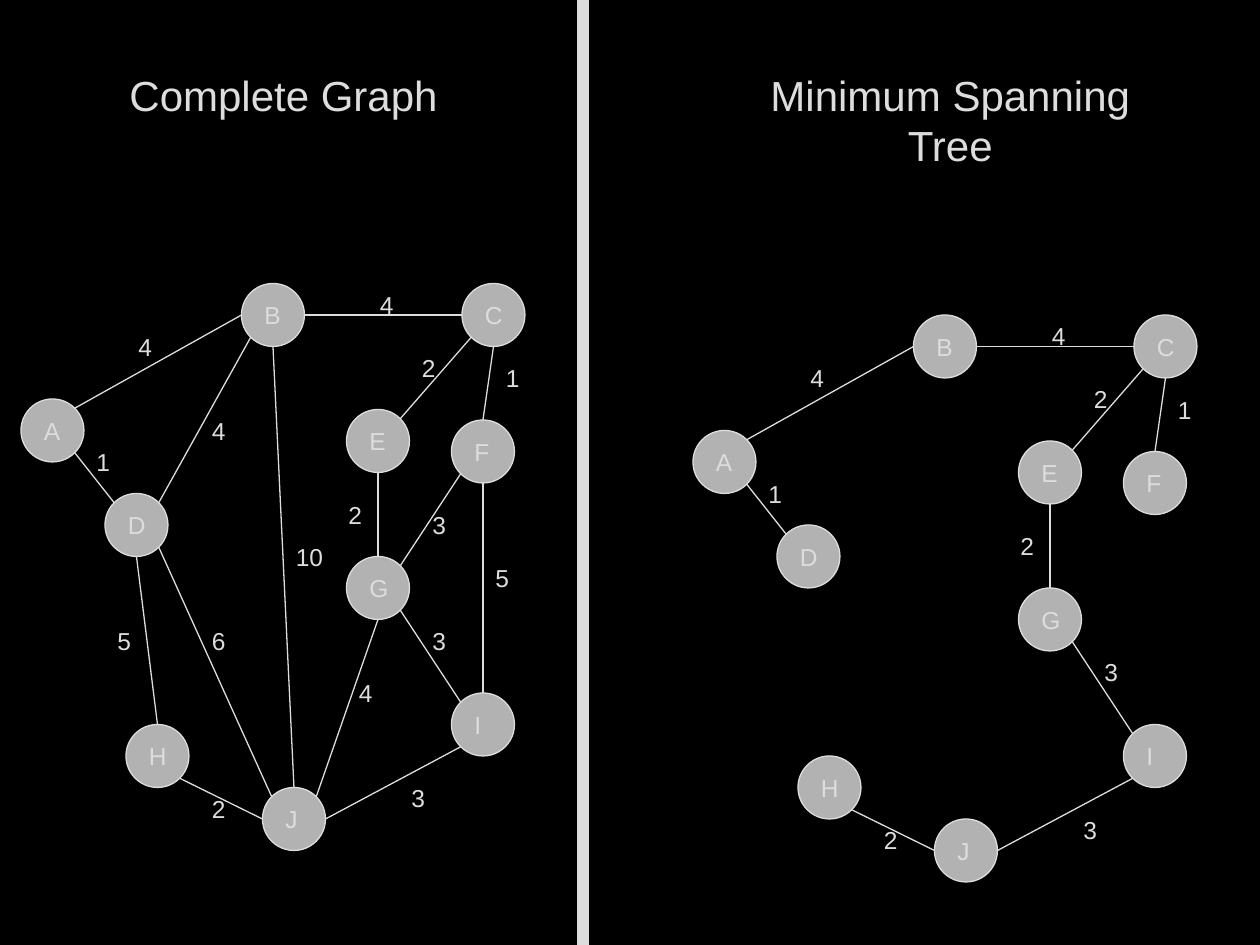
from dataclasses import dataclass
from math import sqrt

from pptx import Presentation
from pptx.dml.color import RGBColor
from pptx.enum.shapes import MSO_CONNECTOR as CXN, MSO_SHAPE as SHAPE
from pptx.enum.text import MSO_ANCHOR as ANCHOR, MSO_AUTO_SIZE as FIT, PP_ALIGN as ALIGN
from pptx.oxml.ns import qn
from pptx.util import Inches, Pt


@dataclass(frozen=True)
class Theme:
    back: RGBColor = RGBColor(0x00, 0x00, 0x00)
    ink: RGBColor = RGBColor(0xDD, 0xDD, 0xDD)
    node: RGBColor = RGBColor(0xB2, 0xB2, 0xB2)
    font: str = "Arial"
    title: int = 24
    label: int = 14
    line: float = 0.75


THEME = Theme()
COLS, ROWS = 120, 90
NODE = 6
TREE_SHIFT = (64, 3)

NODES = {
    "A": (2, 38), "B": (23, 27), "C": (44, 27), "D": (10, 47), "E": (33, 39),
    "F": (43, 40), "G": (33, 53), "H": (12, 69), "I": (43, 66), "J": (25, 75),
}

DIAG = sqrt(0.5)
SIDES = {
    "n": (0, -1), "ne": (DIAG, -DIAG), "e": (1, 0), "se": (DIAG, DIAG),
    "s": (0, 1), "sw": (-DIAG, DIAG), "w": (-1, 0), "nw": (-DIAG, -DIAG),
}

TREE_EDGES = [
    ("A", "ne", "B", "w", "4", (12, 31)),
    ("B", "e", "C", "w", "4", (35, 27)),
    ("A", "se", "D", "nw", "1", (8, 42)),
    ("C", "sw", "E", "ne", "2", (39, 33)),
    ("C", "s", "F", "n", "1", (47, 34)),
    ("E", "s", "G", "n", "2", (32, 47)),
    ("G", "se", "I", "nw", "3", (40, 59)),
    ("H", "se", "J", "w", "2", (19, 75)),
    ("I", "sw", "J", "e", "3", (38, 74)),
]
OTHER_EDGES = [
    ("B", "sw", "D", "ne", "4", (19, 39)),
    ("B", "s", "J", "n", "10", (27, 51)),
    ("F", "sw", "G", "ne", "3", (40, 48)),
    ("F", "s", "I", "n", "5", (46, 53)),
    ("G", "s", "J", "ne", "4", (33, 64)),
    ("D", "s", "H", "n", "5", (10, 59)),
    ("D", "se", "J", "nw", "6", (19, 59)),
]


def grid(*units):
    return [Inches(u / 12) for u in units]


def style_text(tf, size):
    p = tf.paragraphs[0]
    p.space_before = Pt(0)
    f = p.runs[0].font
    f.name, f.size = THEME.font, Pt(size)
    f.color.rgb = THEME.ink


def set_title(sp, text, box):
    sp.left, sp.top, sp.width, sp.height = grid(*box)
    tf = sp.text_frame
    tf.text = text
    tf.auto_size = FIT.NONE
    tf.vertical_anchor = ANCHOR.TOP
    tf.paragraphs[0].alignment = ALIGN.CENTER
    style_text(tf, THEME.title)


def add_filled(s, kind, box, fill):
    sp = s.shapes.add_shape(kind, *grid(*box))
    sp.shadow.inherit = False
    sp.fill.solid()
    sp.fill.fore_color.rgb = fill
    sp.line.color.rgb = THEME.ink
    sp.line.width = Pt(THEME.line)


def add_label(s, text, x, y):
    width = 3.7 if len(text) == 1 else 5
    tf = s.shapes.add_textbox(*grid(x, y, width, 4)).text_frame
    tf.text = text
    tf.word_wrap = False
    tf.auto_size = FIT.SHAPE_TO_FIT_TEXT
    style_text(tf, THEME.label)


def add_line(s, start, end):
    c = s.shapes.add_connector(CXN.STRAIGHT, *grid(*start, *end))
    c.line.color.rgb = THEME.ink
    c.line.width = Pt(THEME.line)
    sp_pr = c._element.spPr
    sp_pr.append(sp_pr.makeelement(qn("a:effectLst"), {}))


def add_graph(s, edges, shift=(0, 0)):
    dx, dy = shift
    r = NODE / 2

    def rim(name, side):
        x, y = NODES[name]
        sx, sy = SIDES[side]
        return x + dx + r * (1 + sx), y + dy + r * (1 + sy)

    for x, y in NODES.values():
        add_filled(s, SHAPE.OVAL, (x + dx, y + dy, NODE, NODE), THEME.node)
    for a, a_side, b, b_side, weight, (x, y) in edges:
        add_line(s, rim(a, a_side), rim(b, b_side))
        add_label(s, weight, x + dx, y + dy)
    for name, (x, y) in NODES.items():
        add_label(s, name, x + dx + 1, y + dy + 1)


def main():
    prs = Presentation()
    prs.slide_width, prs.slide_height = grid(COLS, ROWS)
    s = prs.slides.add_slide(prs.slide_layouts[0])
    s.background.fill.solid()
    s.background.fill.fore_color.rgb = THEME.back

    set_title(s.shapes.title, "Complete Graph", (4, 6, 46, 6))
    set_title(s.placeholders[1], "Minimum Spanning Tree", (69, 6, 43, 11))
    add_filled(s, SHAPE.RECTANGLE, (55, 0, 1, ROWS), THEME.ink)
    add_graph(s, TREE_EDGES + OTHER_EDGES)
    add_graph(s, TREE_EDGES, TREE_SHIFT)
    prs.save("out.pptx")


if __name__ == "__main__":
    main()
